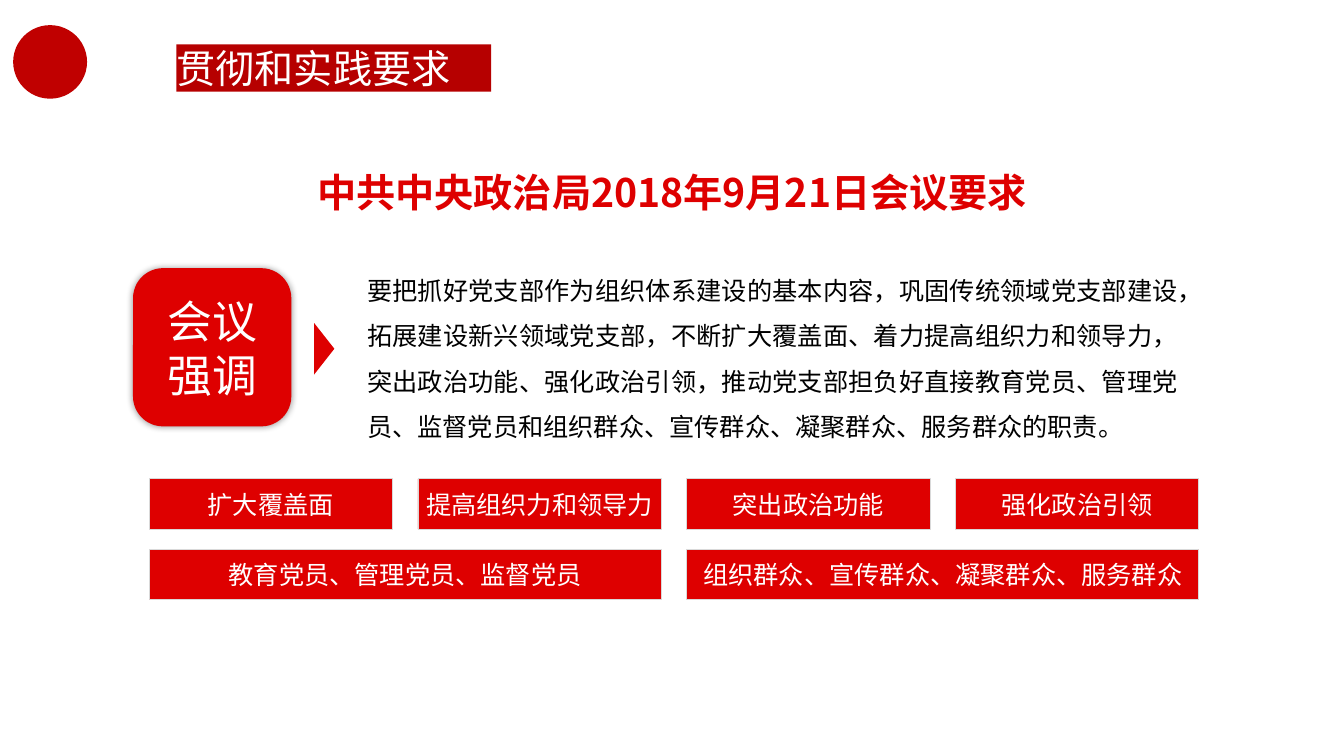
from dataclasses import dataclass

from lxml import etree
from pptx import Presentation
from pptx import util as u
from pptx.dml.color import RGBColor
from pptx.enum import shapes, text
from pptx.oxml import ns

FONT = "Noto Sans CJK SC"
COLORS = {"red": "DE0000", "header": "B60000", "emblem": "C00000",
          "edge": "D9D9D9", "white": "FFFFFF", "black": "000000"}
KIND = shapes.MSO_SHAPE
ALIGN = text.PP_ALIGN
ANCHOR = text.MSO_ANCHOR


@dataclass
class Area:
    """Position and size in percent of the slide's width and height."""
    left: float
    top: float
    width: float
    height: float


@dataclass
class TextStyle:
    size: int
    color: str = "white"
    align: ALIGN = ALIGN.CENTER
    bold: bool = False
    line_spacing: float = 1.0
    space_after: int = 0


@dataclass
class Label:
    wording: str
    column: int
    row: int
    span: int = 1


# Grid of the labels: four columns, two rows, in percent of the slide
GRID_LEFT, GRID_TOP = 11.1, 63.33
COLUMN_STEP, ROW_STEP = 20, 9.33
COLUMN_WIDTH, ROW_HEIGHT = 18.1, 6.67

LABELS = [
    Label("扩大覆盖面", 0, 0),
    Label("提高组织力和领导力", 1, 0),
    Label("突出政治功能", 2, 0),
    Label("强化政治引领", 3, 0),
    Label("教育党员、管理党员、监督党员", 0, 1, 2),
    Label("组织群众、宣传群众、凝聚群众、服务群众", 2, 1, 2),
]
BODY = ("要把抓好党支部作为组织体系建设的基本内容，巩固传统领域党支部建设，"
        "拓展建设新兴领域党支部，不断扩大覆盖面、着力提高组织力和领导力，"
        "突出政治功能、强化政治引领，推动党支部担负好直接教育党员、管理党员、"
        "监督党员和组织群众、宣传群众、凝聚群众、服务群众的职责。")

deck = Presentation()
deck.slide_width, deck.slide_height = u.Inches(13.33), u.Inches(7.5)
page = deck.slides.add_slide(deck.slide_layouts[1])


def rgb(name: str) -> RGBColor:
    return RGBColor.from_string(COLORS[name])


def place(area: Area) -> tuple[int, int, int, int]:
    wide, high = deck.slide_width / 100, deck.slide_height / 100
    return (round(area.left * wide), round(area.top * high),
            round(area.width * wide), round(area.height * high))


def move(box, area: Area) -> None:
    box.left, box.top, box.width, box.height = place(area)


def write(box, lines: list[str], style: TextStyle, anchor: ANCHOR = ANCHOR.MIDDLE,
          inset: bool = False) -> None:
    frame = box.text_frame
    frame.word_wrap = True
    frame.auto_size = text.MSO_AUTO_SIZE.NONE
    frame.vertical_anchor = anchor
    if not inset:
        frame.margin_left = frame.margin_right = 0
        frame.margin_top = frame.margin_bottom = 0
    frame.text = "\n".join(lines)
    for para in frame.paragraphs:
        para.alignment = style.align
        para.line_spacing = style.line_spacing
        para.space_before = u.Pt(0)
        para.space_after = u.Pt(style.space_after)
        # No bullet or hanging indent
        props = para._p.get_or_add_pPr()
        props.set("marL", "0")
        props.set("indent", "0")
        etree.SubElement(props, ns.qn("a:buNone"))
        para.font.size = u.Pt(style.size)
        para.font.bold = style.bold
        para.font.color.rgb = rgb(style.color)
        para.font.name = FONT
        east_asian = etree.SubElement(props.find(ns.qn("a:defRPr")), ns.qn("a:ea"))
        east_asian.set("typeface", FONT)


def draw(kind: KIND, area: Area, fill: str, edge: str | None = None):
    box = page.shapes.add_shape(kind, *place(area))
    box.shadow.inherit = False
    box.fill.solid()
    box.fill.fore_color.rgb = rgb(fill)
    if edge:
        box.line.color.rgb = rgb(edge)
        box.line.width = u.Pt(0.5)
    else:
        box.line.fill.background()
    return box


def add_soft_shadow(box, blur: int, opacity: int) -> None:
    effects = box._element.spPr.find(ns.qn("a:effectLst"))
    shadow = etree.SubElement(effects, ns.qn("a:outerShdw"), blurRad=str(u.Pt(blur)),
                              dist="0", dir="0", algn="ctr", rotWithShape="0")
    tint = etree.SubElement(shadow, ns.qn("a:srgbClr"), val=COLORS["black"])
    etree.SubElement(tint, ns.qn("a:alpha"), val=str(opacity * 1000))


# Header: emblem disc and title bar
draw(KIND.OVAL, Area(0.98, 3.33, 5.5, 9.73), "emblem")
title, body = page.placeholders
move(title, Area(13.13, 5.87, 23.41, 6.27))
title.fill.solid()
title.fill.fore_color.rgb = rgb("header")
write(title, ["贯彻和实践要求"], TextStyle(28, align=ALIGN.LEFT), ANCHOR.TOP)

# Heading and body text
heading = page.shapes.add_textbox(*place(Area(17.93, 20.4, 64.14, 8.4)))
write(heading, ["中共中央政治局2018年9月21日会议要求"],
      TextStyle(28, "red", bold=True, line_spacing=1.2, space_after=10),
      ANCHOR.TOP, inset=True)
move(body, Area(26.56, 33.73, 61.89, 24.8))
write(body, [BODY],
      TextStyle(18, "black", ALIGN.JUSTIFY, line_spacing=1.5, space_after=10),
      ANCHOR.TOP, inset=True)

# Badge and pointer
badge = draw(KIND.ROUNDED_RECTANGLE, Area(9.9, 35.47, 11.78, 20.93), "red")
badge.adjustments[0] = 0.19
add_soft_shadow(badge, blur=5, opacity=40)
write(badge, ["会议", "强调"], TextStyle(32))
pointer = draw(KIND.ISOSCELES_TRIANGLE, Area(22.21, 44.8, 3.83, 2.67), "red")
pointer.rotation = 90

# Labels
for label in LABELS:
    cell = Area(GRID_LEFT + label.column * COLUMN_STEP,
                GRID_TOP + label.row * ROW_STEP,
                COLUMN_WIDTH + (label.span - 1) * COLUMN_STEP, ROW_HEIGHT)
    write(draw(KIND.RECTANGLE, cell, "red", "edge"), [label.wording], TextStyle(18))

deck.save("out.pptx")
